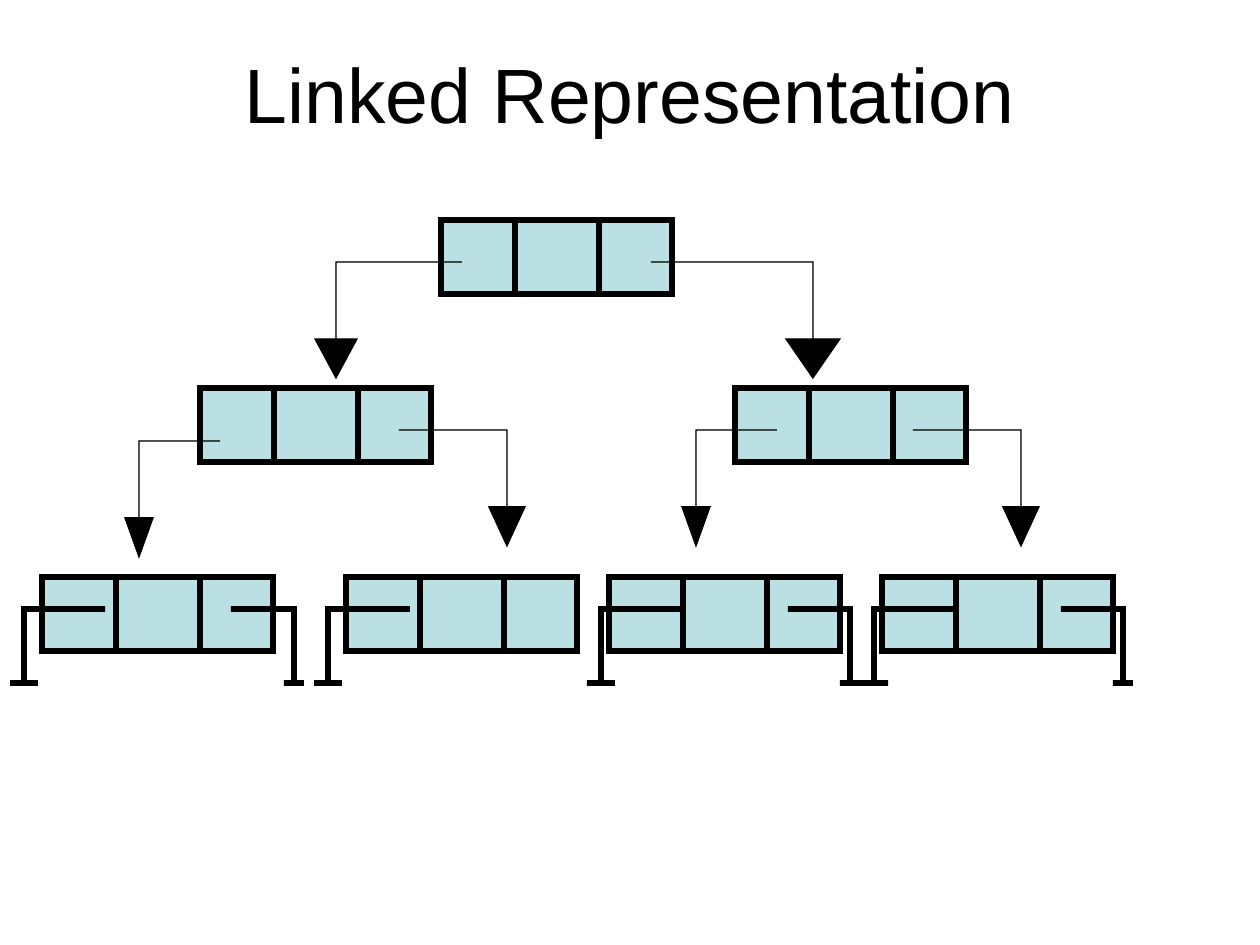
from lxml.etree import SubElement
from pptx import Presentation
from pptx.dml.color import RGBColor
from pptx.enum.shapes import MSO_CONNECTOR as CONN, MSO_SHAPE as SHAPE
from pptx.enum.text import MSO_ANCHOR as ANCHOR, PP_ALIGN as ALIGN
from pptx.oxml.ns import qn
from pptx.util import Pt

SCALE = 914400 / 126
BLACK = RGBColor(0x00, 0x00, 0x00)
CELL = RGBColor(0xBB, 0xE0, 0xE3)
NODE_W, NODE_H = 231, 74
DIVIDERS = (74, 158)
NODES = [(441, 220), (200, 388), (735, 388),
         (609, 577), (882, 577), (346, 577), (42, 577)]
ARROWS = [(462, 336, 262, 21), (220, 139, 441, 14), (777, 696, 430, 14),
          (651, 813, 262, 27), (913, 1021, 430, 18), (399, 507, 430, 18)]
GROUNDS = [(410, 328, 14), (683, 601, 14), (956, 874, 14), (105, 24, 14),
           (231, 294, 10), (788, 850, 10), (1061, 1123, 10)]
GROUND_Y = 609


def emu(*px):
    """Turn pixel lengths into EMU."""
    return [round(v * SCALE) for v in px]


def style(sp, fill, width):
    """Give a shape a flat fill and a sharp black outline."""
    sp.shadow.inherit = False
    sp.fill.solid()
    sp.fill.fore_color.rgb = fill
    sp.line.color.rgb = BLACK
    sp.line.width = Pt(width)
    SubElement(sp.line._get_or_add_ln(), qn("a:miter")).set("lim", "800000")


def add_title(s, x, y, w, h, text):
    """Place the centred title in its box."""
    tf = s.shapes.add_textbox(*emu(x, y, w, h)).text_frame
    tf.word_wrap = True
    tf.vertical_anchor = ANCHOR.MIDDLE
    p = tf.paragraphs[0]
    p.alignment = ALIGN.CENTER
    r = p.add_run()
    r.text = text
    r.font.name = "Arial"
    r.font.size = Pt(44)
    r.font.color.rgb = BLACK


def add_node(s, x, y):
    """Draw a tree node of three cells."""
    style(s.shapes.add_shape(SHAPE.RECTANGLE, *emu(x, y, NODE_W, NODE_H)), CELL, 3)
    for dx in DIVIDERS:
        c = s.shapes.add_connector(
            CONN.STRAIGHT, *emu(x + dx, y, x + dx, y + NODE_H))
        c.line.color.rgb = BLACK
        c.line.width = Pt(3)
        SubElement(c._element.spPr, qn("a:effectLst"))


def add_outline(s, points, width):
    """Draw a closed black outline through the points."""
    fb = s.shapes.build_freeform(*points[0], scale=SCALE)
    fb.add_line_segments(points[1:], close=True)
    style(fb.convert_to_shape(), BLACK, width)


def add_arrow(s, tail, stem, y, half):
    """Draw a bent pointer from a cell down to a child node."""
    neck, tip = y + 77, y + 116
    add_outline(s, [(stem, tip), (stem - half, neck), (stem, neck), (stem, y),
                    (tail, y), (stem, y), (stem, neck), (stem + half, neck)], 0.74)


def add_ground(s, tail, stem, half):
    """Draw a null pointer that ends in a ground bar."""
    y, base = GROUND_Y, GROUND_Y + 74
    add_outline(s, [(stem, base), (stem + half, base), (stem, base), (stem, y),
                    (tail, y), (stem, y), (stem, base), (stem - half, base)], 3)


def add_tree(s):
    """Draw the nodes, then the pointers over them."""
    for node in NODES:
        add_node(s, *node)
    for arrow in ARROWS:
        add_arrow(s, *arrow)
    for ground in GROUNDS:
        add_ground(s, *ground)


prs = Presentation()
prs.slide_width, prs.slide_height = emu(1260, 945)
s = prs.slides.add_slide(prs.slide_layouts[6])
add_title(s, 63, 38, 1134, 110, "Linked Representation")
add_tree(s)
prs.save("out.pptx")
